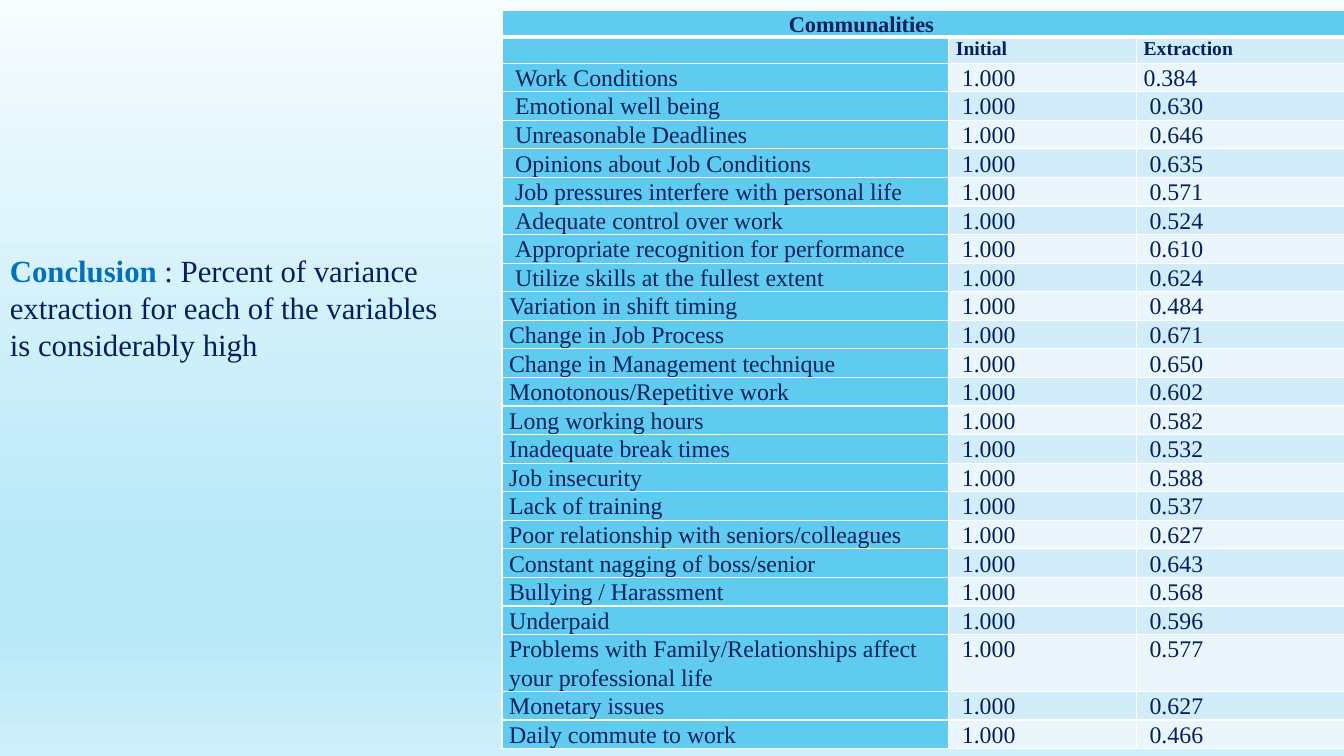
import lxml.etree
import pptx
import pptx.dml.color
import pptx.enum.text
import pptx.oxml.ns
import pptx.util

TITLE = "Communalities"
HEADINGS = ["", "Initial", "Extraction"]
INDENTED = [
    ("Work Conditions", "1.000", "0.384"),
    ("Emotional well being", "1.000", "0.630"),
    ("Unreasonable Deadlines", "1.000", "0.646"),
    ("Opinions about Job Conditions", "1.000", "0.635"),
    ("Job pressures interfere with personal life", "1.000", "0.571"),
    ("Adequate control over work", "1.000", "0.524"),
    ("Appropriate recognition for performance", "1.000", "0.610"),
    ("Utilize skills at the fullest extent", "1.000", "0.624"),
]
FLUSH = [
    ("Variation in shift timing", "1.000", "0.484"),
    ("Change in Job Process", "1.000", "0.671"),
    ("Change in Management technique", "1.000", "0.650"),
    ("Monotonous/Repetitive work", "1.000", "0.602"),
    ("Long working hours", "1.000", "0.582"),
    ("Inadequate break times", "1.000", "0.532"),
    ("Job insecurity", "1.000", "0.588"),
    ("Lack of training", "1.000", "0.537"),
    ("Poor relationship with seniors/colleagues", "1.000", "0.627"),
    ("Constant nagging of boss/senior", "1.000", "0.643"),
    ("Bullying / Harassment", "1.000", "0.568"),
    ("Underpaid", "1.000", "0.596"),
    ("Problems with Family/Relationships affect your professional life", "1.000", "0.577"),
    ("Monetary issues", "1.000", "0.627"),
    ("Daily commute to work", "1.000", "0.466"),
]
CONCLUSION = [
    ("Conclusion", "accent", True),
    (" : Percent of variance extraction for each of the variables is considerably high", "text", False),
]

THEME = {
    "font": "Times New Roman",
    "sizes": {"title": 16, "heading": 14, "body": 17, "conclusion": 22},
    "colors": {
        "text": "002060",
        "accent": "0070C0",
        "label": "5FCBEF",
        "bands": ("D2ECF9", "EAF6FC"),
        "border": "FFFFFF",
    },
    "background": [(0, "F7FCFE"), (74, "B7E8F8"), (83, "B7E8F8"), (100, "CFEFFA")],
    "line_spacing": 1.07,
}

Cm = pptx.util.Cm
COLUMN_WIDTHS = [Cm(11.26), Cm(4.73), Cm(4.89)]
TITLE_HEIGHT, HEADING_HEIGHT, BODY_HEIGHT, TALL_HEIGHT = Cm(0.67), Cm(0.66), Cm(0.72), Cm(1.43)
PADDING, INDENT, TITLE_INDENT = Cm(0.18), Cm(0.15), Cm(7.05)
LONG_LABEL = 50


def set_values(target, values):
    for name, value in values.items():
        setattr(target, name, value)


def rgb(value):
    return pptx.dml.color.RGBColor.from_string(value)


def add_element(parent, tag, **attributes):
    return lxml.etree.SubElement(parent, pptx.oxml.ns.qn(tag), attributes)


def add_run(paragraph, text, size, color="text", bold=False):
    run = paragraph.add_run()
    run.text = text
    set_values(run.font, {
        "name": THEME["font"],
        "size": pptx.util.Pt(THEME["sizes"][size]),
        "bold": bold,
    })
    run.font.color.rgb = rgb(THEME["colors"][color])


def paint_background(slide):
    fill = slide.background.fill
    fill.gradient()
    fill.gradient_angle = 270
    stops = slide.element.find(".//" + pptx.oxml.ns.qn("a:gsLst"))
    for stop in list(stops):
        stops.remove(stop)
    for position, color in THEME["background"]:
        stop = add_element(stops, "a:gs", pos=str(position * 1000))
        add_element(stop, "a:srgbClr", val=color)


def add_borders(cell, row):
    properties = cell._tc.get_or_add_tcPr()
    widths = {"L": 1, "R": 1, "T": 3 if row == 1 else 1, "B": 3 if row == 0 else 1}
    for side, width in widths.items():
        line = add_element(properties, "a:ln" + side, w=str(pptx.util.Pt(width)))
        solid = add_element(line, "a:solidFill")
        add_element(solid, "a:srgbClr", val=THEME["colors"]["border"])


def fill_cell(cell, row, text, size, color, indent=0):
    add_borders(cell, row)
    cell.fill.solid()
    cell.fill.fore_color.rgb = rgb(color)
    set_values(cell, {
        "margin_left": PADDING + indent,
        "margin_right": PADDING,
        "margin_top": 0,
        "margin_bottom": 0,
        "vertical_anchor": pptx.enum.text.MSO_ANCHOR.TOP,
    })
    paragraph = cell.text_frame.paragraphs[0]
    paragraph.line_spacing = THEME["line_spacing"]
    if text:
        add_run(paragraph, text, size, bold=size != "body")
    else:
        add_element(paragraph._p, "a:endParaRPr", sz=str(THEME["sizes"][size] * 100))


def add_communalities(slide):
    records = INDENTED + FLUSH
    body_heights = [TALL_HEIGHT if len(record[0]) > LONG_LABEL else BODY_HEIGHT for record in records]
    heights = [TITLE_HEIGHT, HEADING_HEIGHT] + body_heights
    frame = slide.shapes.add_table(
        len(heights), len(COLUMN_WIDTHS), Cm(12.65), Cm(0.26), sum(COLUMN_WIDTHS), sum(heights))
    table = frame.table
    set_values(table, {"first_row": False, "horz_banding": False})
    for column, width in zip(table.columns, COLUMN_WIDTHS):
        column.width = width
    for row, height in zip(table.rows, heights):
        row.height = height

    colors = THEME["colors"]
    table.cell(0, 0).merge(table.cell(0, 2))
    fill_cell(table.cell(0, 0), 0, TITLE, "title", colors["label"], TITLE_INDENT)
    for row, record in enumerate([HEADINGS] + records, 1):
        size = "heading" if row == 1 else "body"
        for column, text in enumerate(record):
            color = colors["label"] if column == 0 else colors["bands"][(row - 1) % 2]
            flush = row == 1 or (column == 0 and row > len(INDENTED) + 1) or (row, column) == (2, 2)
            fill_cell(table.cell(row, column), row, text, size, color, 0 if flush else INDENT)


def add_conclusion(slide):
    box = slide.shapes.add_textbox(Cm(0), Cm(6.22), Cm(11.33), Cm(3.07))
    box.text_frame.word_wrap = True
    for text, color, bold in CONCLUSION:
        add_run(box.text_frame.paragraphs[0], text, "conclusion", color, bold)


def main():
    presentation = pptx.Presentation()
    set_values(presentation, {"slide_width": Cm(33.87), "slide_height": Cm(19.05)})
    slide = presentation.slides.add_slide(presentation.slide_layouts[6])
    paint_background(slide)
    add_communalities(slide)
    add_conclusion(slide)
    presentation.save("out.pptx")


if __name__ == "__main__":
    main()
